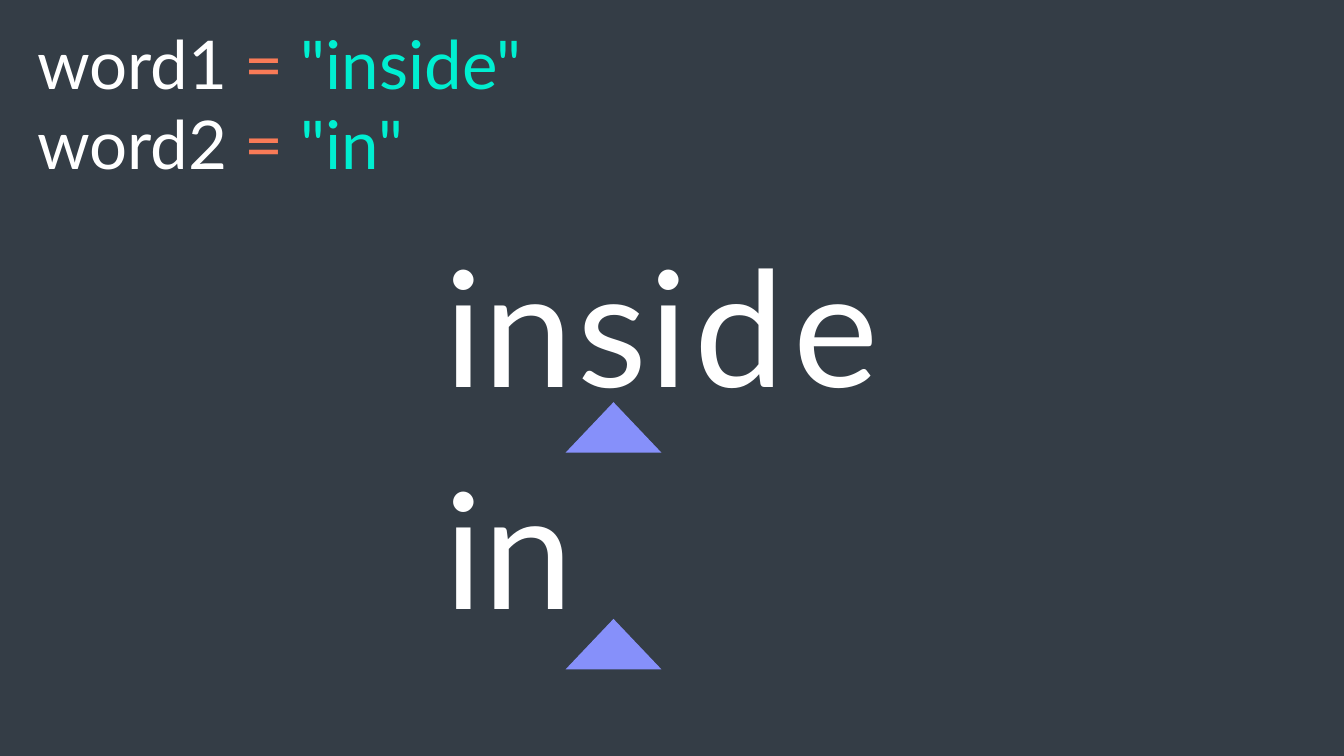
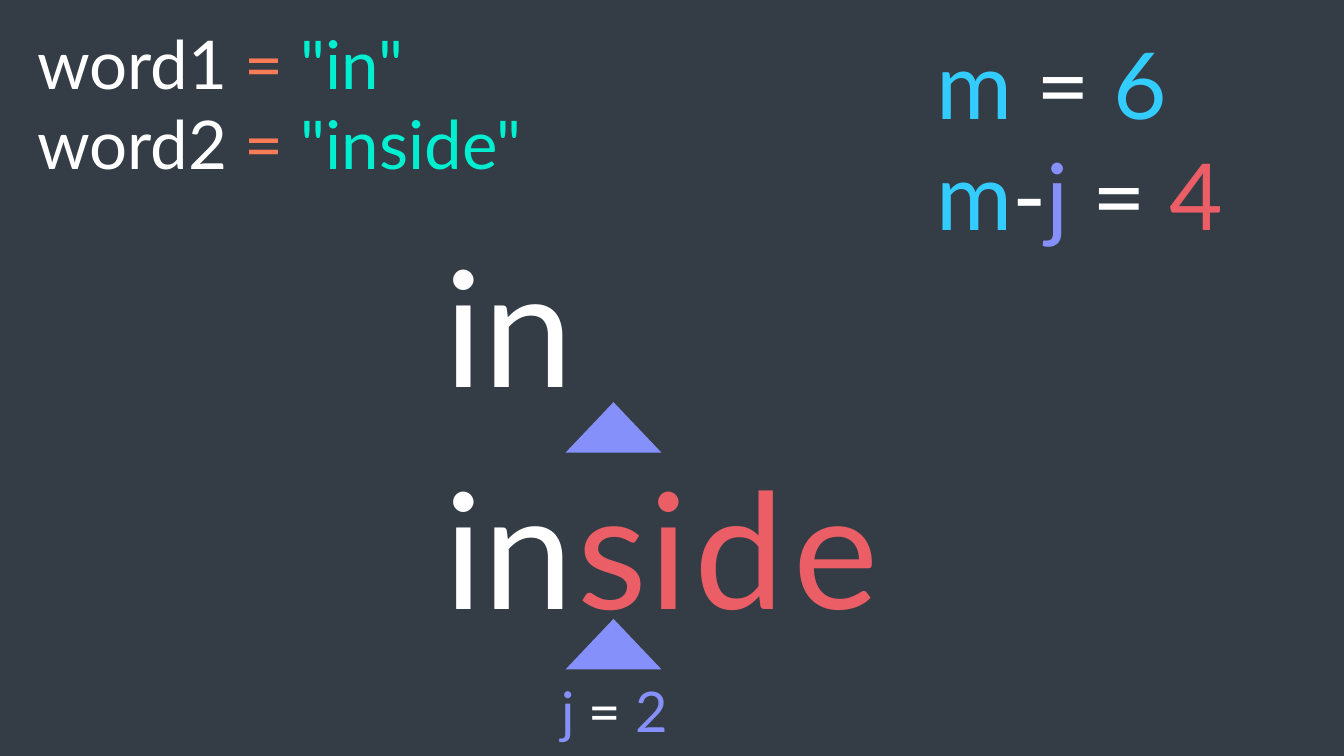
import pptx
import pptx.util
import pptx.dml.color
import pptx.enum.shapes
import pptx.enum.text

Inches = pptx.util.Inches
RGB = pptx.dml.color.RGBColor
ALIGN = pptx.enum.text.PP_ALIGN

# Shared look
FONT = "Lato"
SLATE = RGB(0x34, 0x3D, 0x46)
WHITE = RGB(0xFF, 0xFF, 0xFF)
ORANGE = RGB(0xF9, 0x7B, 0x57)
MINT = RGB(0x00, 0xEF, 0xD1)
VIOLET = RGB(0x86, 0x90, 0xFA)
RED = RGB(0xEC, 0x5E, 0x66)
BLUE = RGB(0x33, 0xCC, 0xFF)

# Rows of big letters and the pointers below them
TOP, LOW = 2.2, 4.4
MARKS = (3.99, 6.14)
TAIL = (("s", 5.54), ("i", 6.1), ("d", 6.79), ("e", 7.76))


def add_text(slide, box, size, lines, align=ALIGN.LEFT):
    """Place lines of (text, colour) runs in a box."""
    frame = slide.shapes.add_textbox(*map(Inches, box)).text_frame
    frame.word_wrap = True
    frame.auto_size = pptx.enum.text.MSO_AUTO_SIZE.SHAPE_TO_FIT_TEXT
    for index, line in enumerate(lines):
        para = frame.add_paragraph() if index else frame.paragraphs[0]
        para.alignment = align
        for text, color in line:
            run = para.add_run()
            run.text = text
            run.font.name = FONT
            run.font.size = pptx.util.Pt(size)
            run.font.color.rgb = color


def add_code(slide, words):
    """Assign each word to a numbered variable."""
    lines = [[(f"word{num} ", WHITE), ("= ", ORANGE), (f'"{word}"', MINT)]
             for num, word in enumerate(words, 1)]
    add_text(slide, (0.27, 0.17, 5.48, 1.72), 48, lines)


def add_big(slide, text, left, top, width, color):
    add_text(slide, (left, top, width, 2.04), 115, [[(text, color)]],
             ALIGN.CENTER)


def add_mark(slide, top):
    """Draw a pointer below the third letter."""
    kind = pptx.enum.shapes.MSO_SHAPE.ISOSCELES_TRIANGLE
    mark = slide.shapes.add_shape(
        kind, *map(Inches, (5.61, top, 0.95, 0.5)))
    mark.shadow.inherit = False
    mark.fill.solid()
    mark.fill.fore_color.rgb = VIOLET
    mark.line.fill.background()


def add_scene(deck, words, row, color):
    """Build a slide whose longer word ends on the given row."""
    slide = deck.slides.add_slide(deck.slide_layouts[6])
    add_code(slide, words)
    for top in (LOW, TOP):
        add_big(slide, "in", 4.11, top, 1.87, WHITE)
    for letter, left in TAIL:
        add_big(slide, letter, left, row, 1.06, color)
    for top in MARKS:
        add_mark(slide, top)
    return slide


def main():
    deck = pptx.Presentation()
    deck.slide_width, deck.slide_height = Inches(13.33), Inches(7.5)
    ground = deck.slide_master.background.fill
    ground.solid()
    ground.fore_color.rgb = SLATE

    # Longer word first
    add_scene(deck, ("inside", "in"), TOP, WHITE)

    # Longer word second, with the letters left over
    slide = add_scene(deck, ("in", "inside"), LOW, RED)
    add_text(slide, (5.04, 6.66, 2.11, 0.77), 40,
             [[("j ", VIOLET), ("=", WHITE), (" 2", VIOLET)]], ALIGN.CENTER)
    add_text(slide, (9.19, 0.22, 3.31, 2.32), 66, [
        [("m ", BLUE), ("= ", WHITE), ("6", BLUE)],
        [("m", BLUE), ("-", WHITE), ("j ", VIOLET), ("= ", WHITE),
         ("4", RED)],
    ])
    deck.save("out.pptx")


if __name__ == "__main__":
    main()
